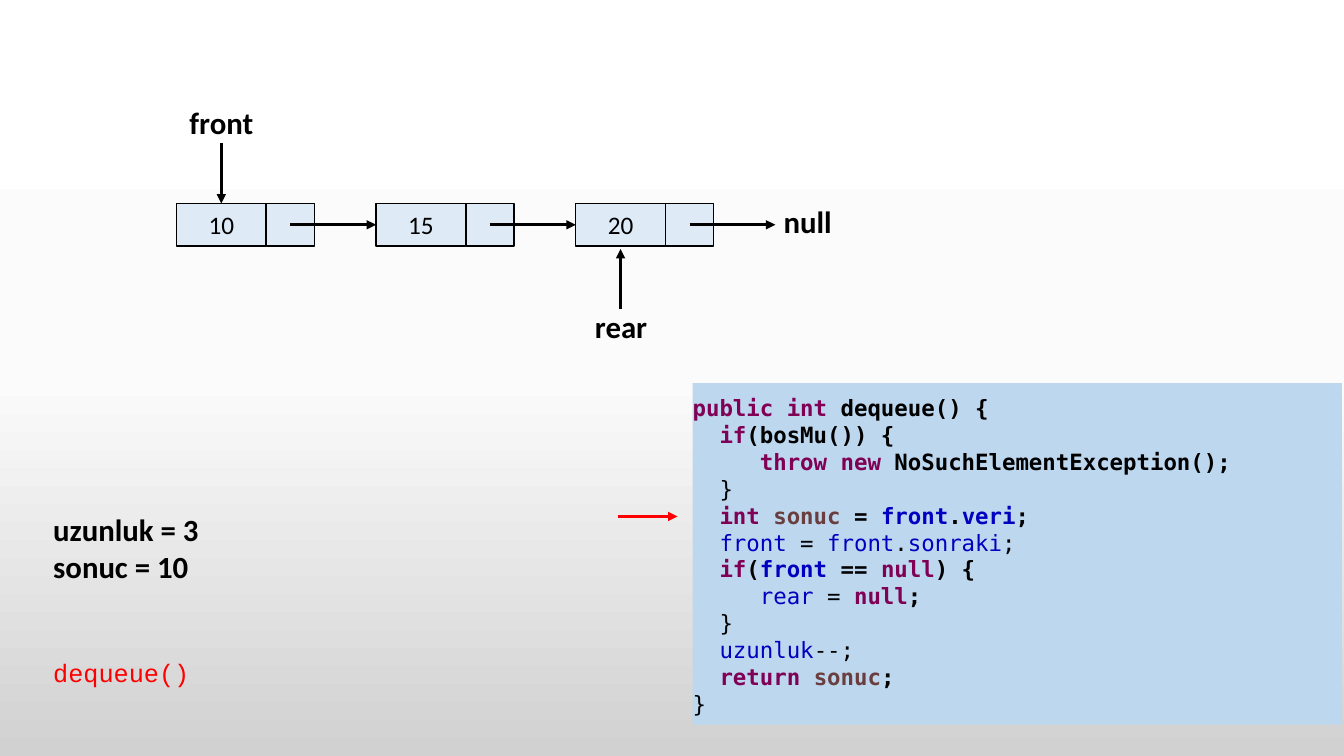
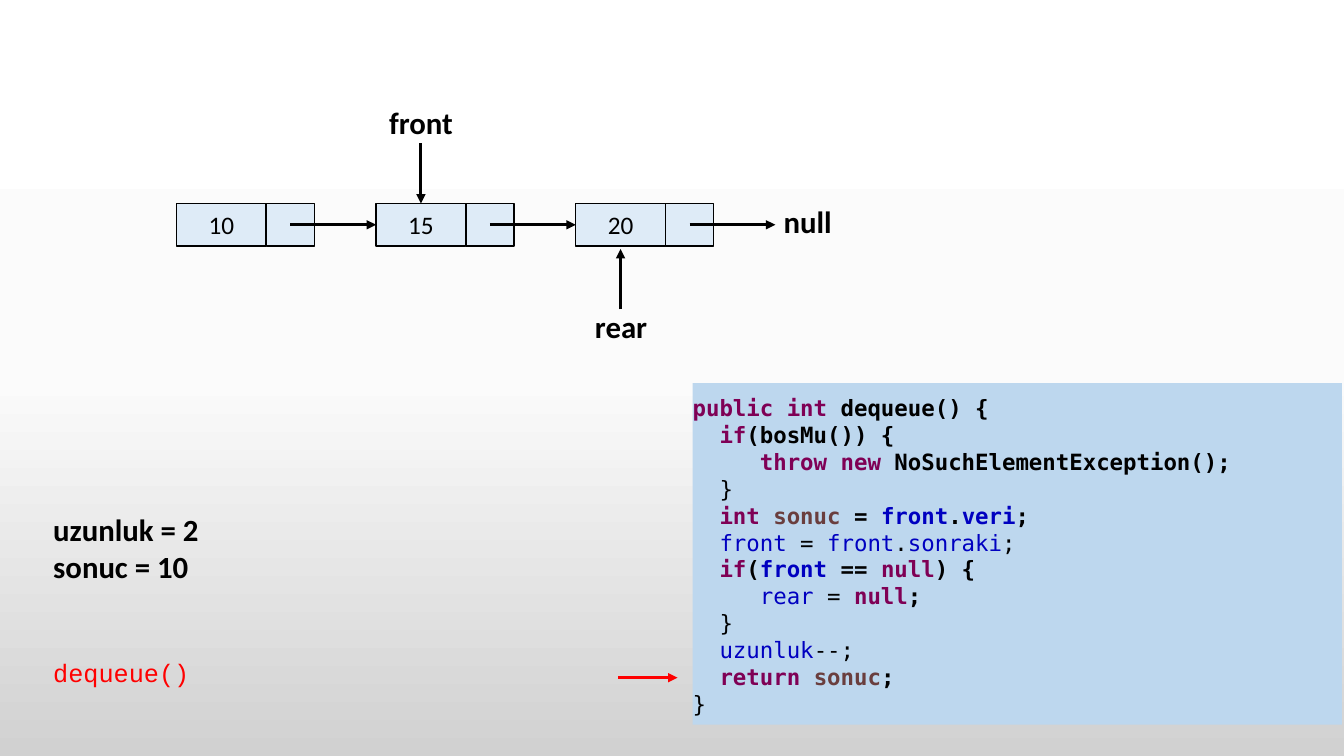
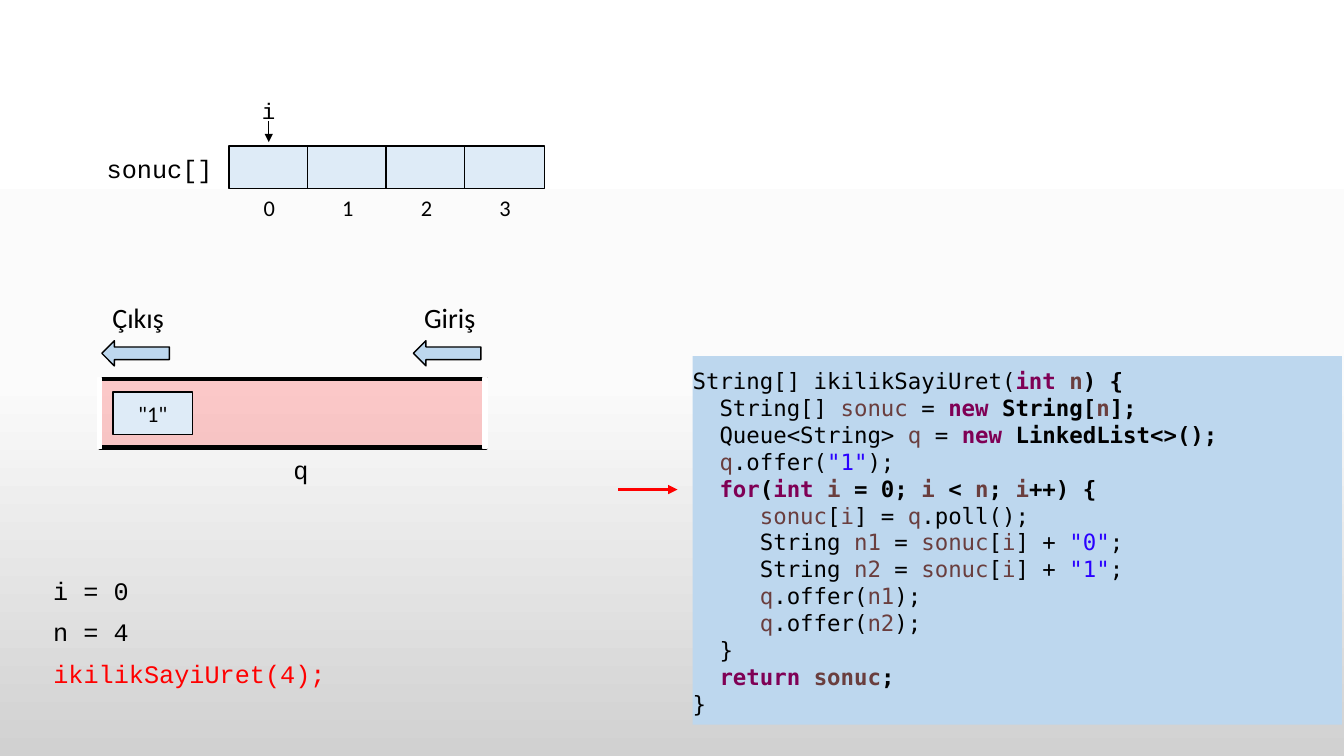
import copy
import itertools

import lxml.etree
import pptx
import pptx.dml.color
import pptx.enum.shapes
import pptx.enum.text
import pptx.oxml.ns
import pptx.util

Inches = pptx.util.Inches
Pt = pptx.util.Pt
qn = pptx.oxml.ns.qn
MSO_SHAPE = pptx.enum.shapes.MSO_SHAPE
PP_ALIGN = pptx.enum.text.PP_ALIGN

COLOURS = {
    "ink": "000000", "white": "FFFFFF", "red": "FF0000",
    "cell": "DEEBF7", "panel": "BDD7EE",
    "keyword": "7F0055", "field": "0000C0", "local": "6A3E3E", "string": "2A00FF",
}
BACKGROUND_STOPS = [(0, "FFFFFF"), (0.5, "FBFBFB"), (1, "D1D1D1")]

FORMATS = {
    "pointer": {"name": "Calibri", "size": Pt(22), "bold": True},
    "gate": {"name": "Calibri", "size": Pt(20)},
    "node": {"name": "Calibri", "size": Pt(18)},
    "index": {"name": "Calibri", "size": Pt(16)},
    "variable": {"name": "Courier New", "size": Pt(18)},
    "cursor": {"name": "Courier New", "size": Pt(16)},
    "code": {"name": "DejaVu Sans Mono", "size": Pt(16)},
}

TOKENS = {
    "keyword": {"public", "int", "if", "throw", "new", "null", "return", "for"},
    "field": {"front", "rear", "veri", "sonraki", "uzunluk"},
    "local": {"sonuc", "n", "i", "q", "n1", "n2"},
    "string": {'"0"', '"1"'},
}

DEQUEUE_CODE = """public int dequeue() {
  if(bosMu()) {
     throw new NoSuchElementException();
  }
  int sonuc = front.veri;
  front = front.sonraki;
  if(front == null) {
     rear = null;
  }
  uzunluk--;
  return sonuc;
}"""

BINARY_CODE = """String[] ikilikSayiUret(int n) {
  String[] sonuc = new String[n];
  Queue<String> q = new LinkedList<>();
  q.offer("1");
  for(int i = 0; i < n; i++) {
     sonuc[i] = q.poll();
     String n1 = sonuc[i] + "0";
     String n2 = sonuc[i] + "1";
     q.offer(n1);
     q.offer(n2);
  }
  return sonuc;
}"""

CODE_BOTTOM = 7.19
CODE_LINE = 16 / 60

NODE_LEFT, NODE_TOP, NODE_PITCH = 1.75, 2.02, 1.98
DATA_WIDTH, LINK_WIDTH, CELL_HEIGHT = 0.89, 0.48, 0.42

ARRAY_LEFT, ARRAY_TOP, ARRAY_PITCH, ARRAY_CELL = 2.27, 1.45, 0.78, 0.79


def rgb(colour):
    return pptx.dml.color.RGBColor.from_string(COLOURS[colour])


def set_font(font, style, colour="ink"):
    for attribute, value in FORMATS[style].items():
        setattr(font, attribute, value)
    font.color.rgb = rgb(colour)


def set_background(master):
    fill = master.background.fill
    fill.gradient()
    fill.gradient_angle = 270
    stop_list = next(master.element.iter(qn("a:gsLst")))
    stop_list.append(copy.deepcopy(stop_list[-1]))
    for stop, (position, shade) in zip(fill.gradient_stops, BACKGROUND_STOPS):
        stop.position = position
        stop.color.rgb = pptx.dml.color.RGBColor.from_string(shade)


def add_block(slide, box, fill, line="ink", width=1, preset=MSO_SHAPE.RECTANGLE):
    block = slide.shapes.add_shape(preset, *map(Inches, box))
    block.shadow.inherit = False
    block.fill.solid()
    block.fill.fore_color.rgb = rgb(fill)
    if line:
        block.line.color.rgb = rgb(line)
        block.line.width = Pt(width)
    else:
        block.line.fill.background()
    return block


def add_cell(slide, box, text="", style="node"):
    cell = add_block(slide, box, "cell")
    if text:
        paragraph = cell.text_frame.paragraphs[0]
        paragraph.text = text
        paragraph.alignment = PP_ALIGN.CENTER
        set_font(paragraph.runs[0].font, style)
    return cell


def add_label(slide, text, box, style, colour="ink", align=PP_ALIGN.CENTER):
    frame = slide.shapes.add_textbox(*map(Inches, box)).text_frame
    frame.word_wrap = False
    frame.auto_size = pptx.enum.text.MSO_AUTO_SIZE.SHAPE_TO_FIT_TEXT
    frame.text = text
    for paragraph in frame.paragraphs:
        paragraph.alignment = align
        set_font(paragraph.runs[0].font, style, colour)


def add_arrow(slide, start, end, colour="ink", width=2.25, target=None, side=0):
    """Draw an arrow; with a target, its head is joined to that side."""
    arrow = slide.shapes.add_connector(
        pptx.enum.shapes.MSO_CONNECTOR.STRAIGHT, *map(Inches, (*start, *end)))
    arrow.line.color.rgb = rgb(colour)
    arrow.line.width = Pt(width)
    properties = arrow.element.spPr
    lxml.etree.SubElement(properties.find(qn("a:ln")), qn("a:tailEnd"), type="triangle")
    lxml.etree.SubElement(properties, qn("a:effectLst"))
    if target is not None:
        arrow.end_connect(target, side)


def add_code_line(paragraph, line):
    """Colour each word by its kind; text is bold from the first keyword on."""
    bold = False
    for _, letters in itertools.groupby(line, lambda ch: ch.isalnum() or ch == '"'):
        token = "".join(letters)
        kind = next((kind for kind, words in TOKENS.items() if token in words), "ink")
        bold = bold or kind == "keyword"
        run = paragraph.add_run()
        run.text = token
        set_font(run.font, "code", kind)
        run.font.bold = bold


def add_code(slide, code, active_line):
    """Add the code panel and a red arrow at the line being run."""
    lines = code.split("\n")
    lines_below = len(lines) - 1 - active_line
    arrow_y = CODE_BOTTOM - 0.2 - CODE_LINE * lines_below
    add_arrow(slide, (6.13, arrow_y), (6.72, arrow_y), "red")

    height = 0.19 + CODE_LINE * len(lines)
    panel = add_block(slide, (6.87, CODE_BOTTOM - height, 6.44, height), "panel", None)
    frame = panel.text_frame
    frame.word_wrap = True
    frame.vertical_anchor = pptx.enum.text.MSO_ANCHOR.BOTTOM
    frame.margin_left = frame.margin_right = 0
    frame.margin_top = frame.margin_bottom = Inches(0.08)
    for number, line in enumerate(lines):
        paragraph = frame.add_paragraph() if number else frame.paragraphs[0]
        paragraph.alignment = PP_ALIGN.LEFT
        add_code_line(paragraph, line)


def add_linked_list(slide, values, front):
    """Draw the nodes, their links and the front, rear and null pointers."""
    middle = NODE_TOP + CELL_HEIGHT / 2
    lefts = [NODE_LEFT + NODE_PITCH * n for n in range(len(values))]
    data_cells = []
    for left, value in zip(lefts, values):
        data_cells.append(add_cell(slide, (left, NODE_TOP, DATA_WIDTH, CELL_HEIGHT), value))
        add_cell(slide, (left + DATA_WIDTH, NODE_TOP, LINK_WIDTH, CELL_HEIGHT))
    for left, following in itertools.zip_longest(lefts, data_cells[1:]):
        start = left + DATA_WIDTH + LINK_WIDTH / 2
        add_arrow(slide, (start, middle), (start + 0.85, middle), target=following, side=1)
    add_label(slide, "null", (lefts[-1] + 1.96, 1.96, 0.68, 0.47), "pointer")

    front_x = lefts[front] + DATA_WIDTH / 2
    add_arrow(slide, (front_x, 1.42), (front_x, NODE_TOP), target=data_cells[front])
    add_label(slide, "front", (front_x - 0.42, 0.98, 0.84, 0.47), "pointer")
    rear_x = lefts[-1] + DATA_WIDTH / 2
    add_arrow(slide, (rear_x, 3.07), (rear_x, 2.47))
    add_label(slide, "rear", (rear_x - 0.36, 3, 0.73, 0.47), "pointer")


def add_dequeue_slide(slide, front, length, active_line):
    add_linked_list(slide, ["10", "15", "20"], front)
    add_label(slide, f"uzunluk = {length}\nsonuc = 10", (0.43, 5.02, 1.66, 0.84),
              "pointer", align=PP_ALIGN.LEFT)
    add_label(slide, "dequeue()", (0.43, 6.47, 1.57, 0.4), "variable", "red", PP_ALIGN.LEFT)
    add_code(slide, DEQUEUE_CODE, active_line)


def add_result_array(slide, size):
    add_label(slide, "sonuc[]", (0.96, 1.47, 1.27, 0.4), "variable", align=PP_ALIGN.LEFT)
    for index in range(size):
        left = ARRAY_LEFT + ARRAY_PITCH * index
        add_cell(slide, (left, ARRAY_TOP, ARRAY_CELL, CELL_HEIGHT))
        add_label(slide, str(index), (left + 0.24, 1.88, 0.32, 0.37), "index")
    cursor_x = ARRAY_LEFT + ARRAY_CELL / 2
    add_arrow(slide, (cursor_x, 1.2), (cursor_x, 1.41), width=1)
    add_label(slide, "i", (cursor_x - 0.17, 0.91, 0.34, 0.37), "cursor")


def add_queue(slide, first_item):
    """Draw a channel open at both ends, with its exit and entry arrows."""
    channel = add_block(slide, (0.99, 3.76, 3.83, 0.68), "red", width=3)
    channel_colour = channel.element.spPr.find(qn("a:solidFill"))[0]
    lxml.etree.SubElement(channel_colour, qn("a:alpha"), val="20000")
    for opening in (0.97, 4.79):
        add_block(slide, (opening, 3.75, 0.04, 0.7), "white", "white")
    for gate, left in (("Çıkış", 1.01), ("Giriş", 4.1)):
        add_block(slide, (left, 3.38, 0.67, 0.25), "panel", preset=MSO_SHAPE.LEFT_ARROW)
        add_label(slide, gate, (left, 2.93, 0.72, 0.44), "gate")
    add_label(slide, "q", (2.81, 4.46, 0.35, 0.4), "variable")
    add_cell(slide, (1.12, 3.89, ARRAY_CELL, CELL_HEIGHT), first_item, "index")


def add_binary_slide(slide):
    add_result_array(slide, 4)
    add_queue(slide, '"1"')
    state = [("i = 0", 0.96, "ink"), ("n = 4", 0.96, "ink"), ("ikilikSayiUret(4);", 2.95, "red")]
    for row, (text, width, colour) in enumerate(state):
        add_label(slide, text, (0.43, 5.66 + 0.41 * row, width, 0.4),
                  "variable", colour, PP_ALIGN.LEFT)
    add_code(slide, BINARY_CODE, 4)


def main():
    deck = pptx.Presentation()
    deck.slide_width, deck.slide_height = Inches(13.33), Inches(7.5)
    set_background(deck.slide_master)
    blank = deck.slide_layouts[6]
    add_dequeue_slide(deck.slides.add_slide(blank), front=0, length=3, active_line=4)
    add_dequeue_slide(deck.slides.add_slide(blank), front=1, length=2, active_line=10)
    add_binary_slide(deck.slides.add_slide(blank))
    deck.save("out.pptx")


if __name__ == "__main__":
    main()
